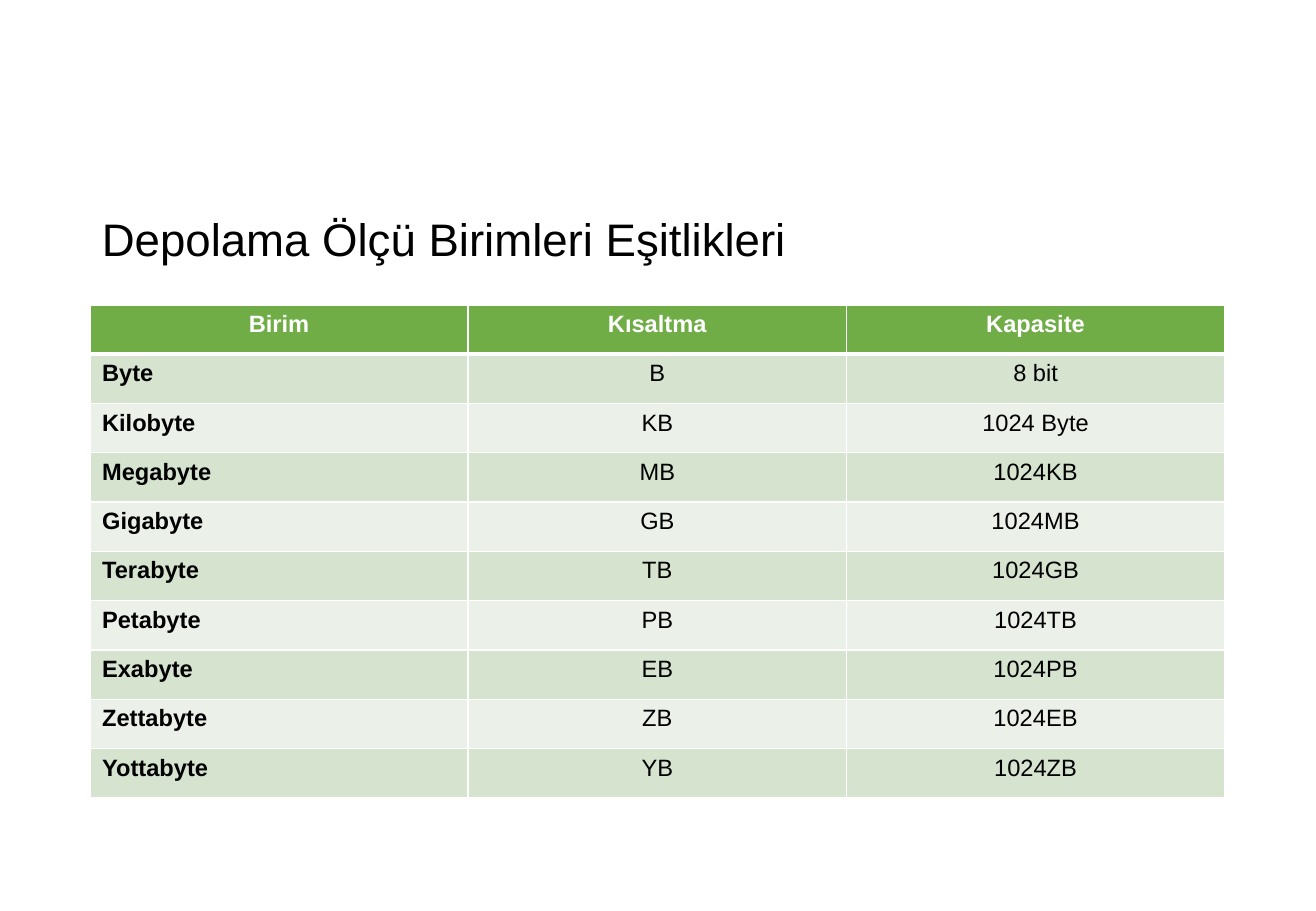
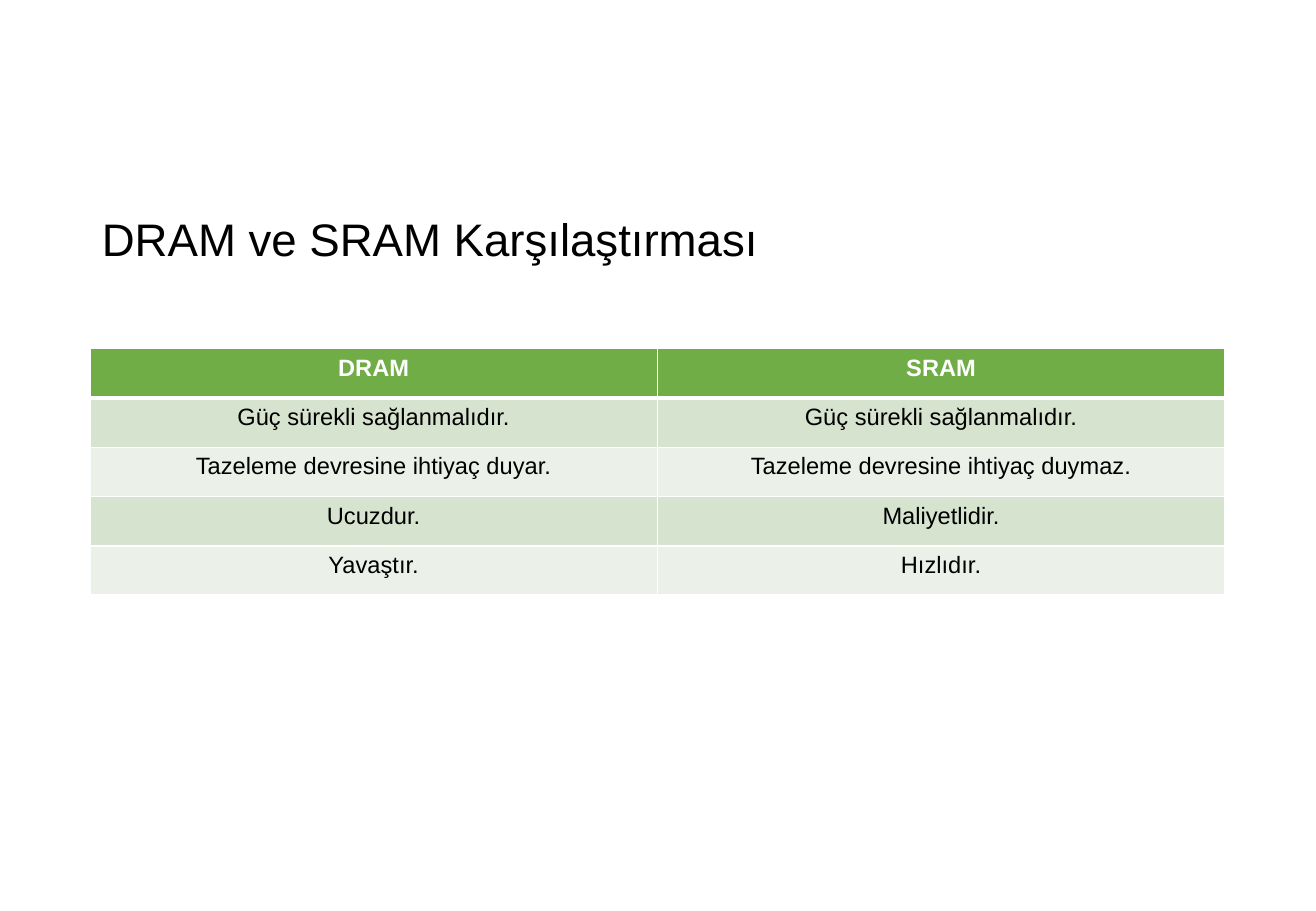
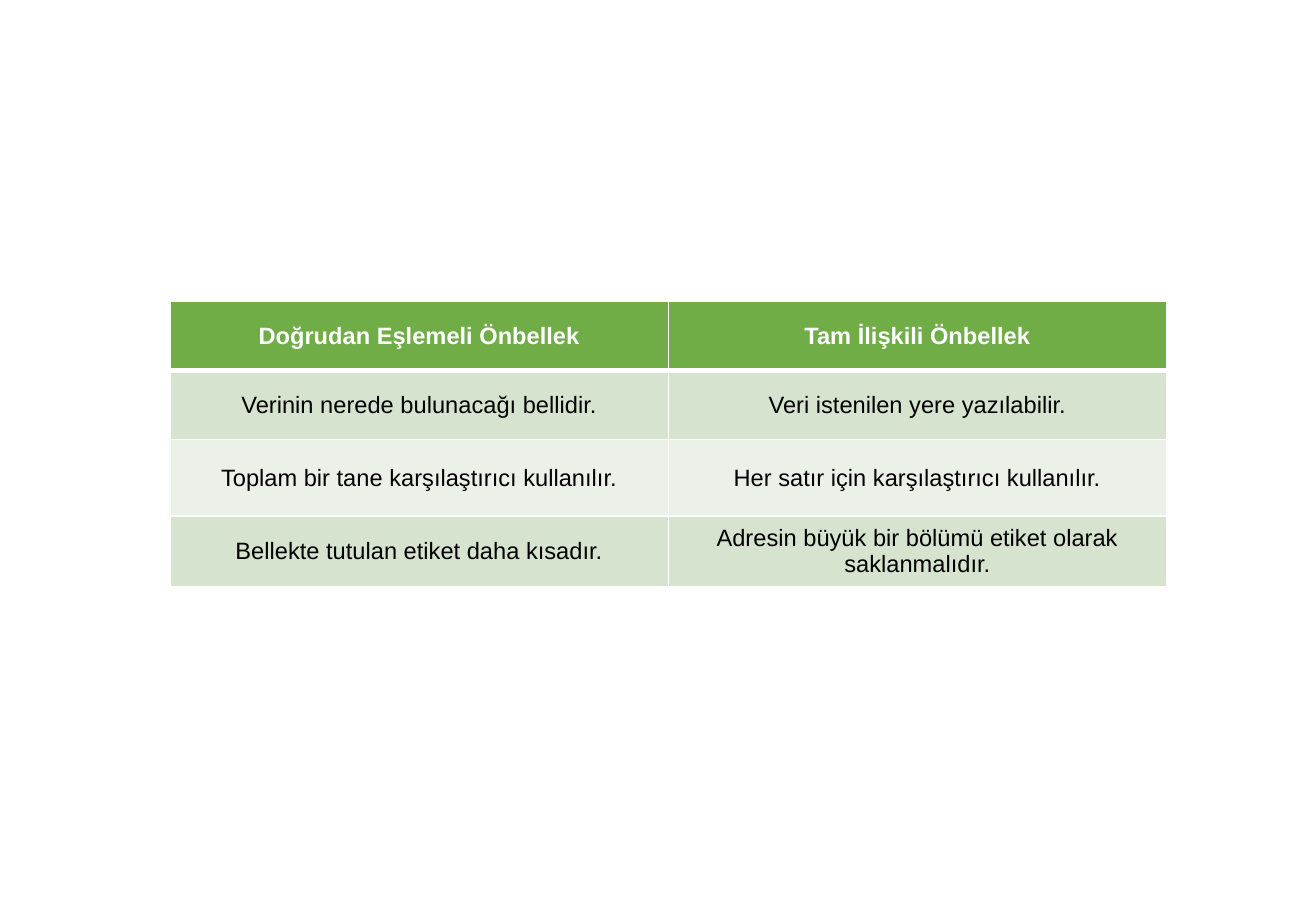
from dataclasses import dataclass
from lxml.etree import SubElement
from pptx import Presentation
from pptx.dml.color import RGBColor as RGB
from pptx.enum.text import MSO_ANCHOR as Anchor, PP_ALIGN as Align
from pptx.oxml.ns import qn
from pptx.util import Inches, Pt


@dataclass(frozen=True)
class Theme:
    font: str = "Arial"
    ink: str = "000000"
    paper: str = "FFFFFF"
    head: str = "70AD47"
    bands: tuple = ("D5E3CF", "EBF1E9")
    title: int = 27
    body: int = 14
    thin: int = 1
    thick: int = 3


class Deck:
    def __init__(self, theme):
        self.theme = theme
        self.prs = Presentation()
        self.prs.slide_width = Inches(10.83)
        self.prs.slide_height = Inches(7.5)
        self.slide = None

    def page(self):
        self.slide = self.prs.slides.add_slide(self.prs.slide_layouts[6])

    def add_text(self, par, text, size, color, bold=False):
        run = par.add_run()
        run.text = text
        font = run.font
        font.name, font.size, font.bold = self.theme.font, Pt(size), bold
        font.color.rgb = RGB.from_string(color)

    def title(self, text):
        box = self.slide.shapes.add_textbox(
            Inches(0.74), Inches(1.66), Inches(9.34), Inches(0.66))
        frame = box.text_frame
        frame.word_wrap = True
        frame.vertical_anchor = Anchor.MIDDLE
        par = frame.paragraphs[0]
        par.line_spacing = 0.9
        self.add_text(par, text, self.theme.title, self.theme.ink)

    def edge(self, cell, **widths):
        """Draw cell borders; they must come before the fill in the XML."""
        props = cell._tc.get_or_add_tcPr()
        for spot, (side, width) in enumerate(widths.items()):
            line = SubElement(props, qn(f"a:ln{side}"), w=str(Pt(width)))
            fill = SubElement(line, qn("a:solidFill"))
            SubElement(fill, qn("a:srgbClr"), val=self.theme.paper)
            props.insert(spot, line)

    def table(self, left, top, width, heights, rows,
              anchor=Anchor.TOP, labels=False):
        """Add a banded table; labels makes the first column bold and left."""
        look = self.theme
        count = len(rows[0])
        grid = self.slide.shapes.add_table(
            len(rows), count, Inches(left), Inches(top),
            Inches(width), Inches(sum(heights))).table
        grid.horz_banding = False
        for col in grid.columns:
            col.width = Inches(width / count)
        for r, (height, texts) in enumerate(zip(heights, rows)):
            grid.rows[r].height = Inches(height)
            head = r == 0
            for c, text in enumerate(texts):
                cell = grid.cell(r, c)
                label = labels and c == 0 and not head
                cell.vertical_anchor = anchor
                cell.fill.solid()
                cell.fill.fore_color.rgb = RGB.from_string(
                    look.head if head else look.bands[(r - 1) % 2])
                self.edge(cell, L=look.thin, R=look.thin,
                          T=look.thick if r == 1 else look.thin,
                          B=look.thick if head else look.thin)
                par = cell.text_frame.paragraphs[0]
                par.alignment = Align.LEFT if label else Align.CENTER
                self.add_text(par, text, look.body,
                              look.paper if head else look.ink, head or label)


UNITS = [
    ("Birim", "Kısaltma", "Kapasite"),
    ("Byte", "B", "8 bit"),
    ("Kilobyte", "KB", "1024 Byte"),
    ("Megabyte", "MB", "1024KB"),
    ("Gigabyte", "GB", "1024MB"),
    ("Terabyte", "TB", "1024GB"),
    ("Petabyte", "PB", "1024TB"),
    ("Exabyte", "EB", "1024PB"),
    ("Zettabyte", "ZB", "1024EB"),
    ("Yottabyte", "YB", "1024ZB"),
]
RAMS = [
    ("DRAM", "SRAM"),
    ("Güç sürekli sağlanmalıdır.", "Güç sürekli sağlanmalıdır."),
    ("Tazeleme devresine ihtiyaç duyar.", "Tazeleme devresine ihtiyaç duymaz."),
    ("Ucuzdur.", "Maliyetlidir."),
    ("Yavaştır.", "Hızlıdır."),
]
CACHES = [
    ("Doğrudan Eşlemeli Önbellek", "Tam İlişkili Önbellek"),
    ("Verinin nerede bulunacağı bellidir.", "Veri istenilen yere yazılabilir."),
    ("Toplam bir tane karşılaştırıcı kullanılır.",
     "Her satır için karşılaştırıcı kullanılır."),
    ("Bellekte tutulan etiket daha kısadır.",
     "Adresin büyük bir bölümü etiket olarak saklanmalıdır."),
]


def main():
    deck = Deck(Theme())

    deck.page()
    deck.title("Depolama Ölçü Birimleri Eşitlikleri")
    deck.table(0.74, 2.51, 9.34, [4.06 / len(UNITS)] * len(UNITS), UNITS,
               labels=True)

    deck.page()
    deck.title("DRAM ve SRAM Karşılaştırması")
    deck.table(0.74, 2.87, 9.34, [2.03 / len(RAMS)] * len(RAMS), RAMS)

    deck.page()
    deck.table(1.4, 2.48, 8.2, [0.57, 0.57, 0.63, 0.58], CACHES,
               anchor=Anchor.MIDDLE)

    deck.prs.save("out.pptx")


if __name__ == "__main__":
    main()
